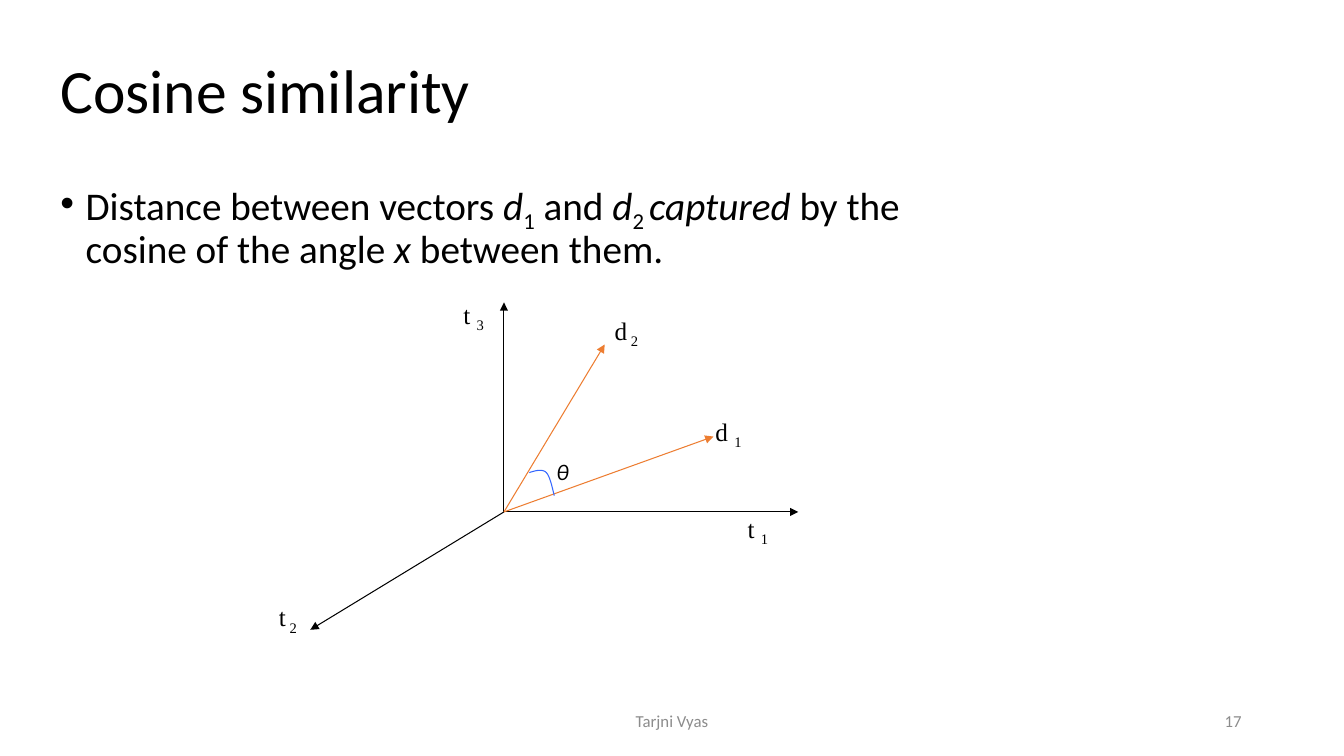
from lxml import etree
from pptx import Presentation
from pptx import util as u
from pptx.dml.color import RGBColor
from pptx.enum import shapes, text
from pptx.oxml.ns import qn

COLORS = {"ink": "000000", "vector": "ED7D31", "angle": "3366FF", "footer": "8C8C8C"}
SERIF, SANS = "Times New Roman", "Calibri"


def rgb(name):
    """Return a palette colour."""
    return RGBColor.from_string(COLORS[name])


def add_text(parent, box, runs, size, font=SANS, color="ink", frame=None, para=None):
    """Write one paragraph of (wording, style) runs; i is italic, s is subscript."""
    area = parent.add_textbox(*map(u.Cm, box)).text_frame
    for key, value in {"word_wrap": True, **(frame or {})}.items():
        setattr(area, key, value)
    line = area.paragraphs[0]
    for key, value in (para or {}).items():
        setattr(line, key, value)
    for wording, style in runs:
        run = line.add_run()
        run.text = wording
        formats = {"name": font, "size": u.Pt(size), "italic": "i" in style}
        for key, value in formats.items():
            setattr(run.font, key, value)
        run.font.color.rgb = rgb(color)
        if "s" in style:
            run.font._element.set("baseline", "-25000")
    return line


def add_arrow(parent, start, tip, color):
    """Draw a thin arrow from start to tip."""
    arrow = parent.add_connector(shapes.MSO_CONNECTOR.STRAIGHT, *map(u.Cm, (*start, *tip)))
    arrow.line.width = u.Pt(0.75)
    arrow.line.color.rgb = rgb(color)
    etree.SubElement(arrow.line._get_or_add_ln(), qn("a:tailEnd"), type="triangle")
    etree.SubElement(arrow._element.spPr, qn("a:effectLst"))


def bezier(points, steps=12):
    """Sample a cubic curve, leaving out its first point."""
    a, b, c, d = points
    for step in range(1, steps + 1):
        t = step / steps
        s = 1 - t
        yield tuple(s**3 * a[k] + 3 * s * s * t * b[k] + 3 * s * t * t * c[k] + t**3 * d[k]
                    for k in (0, 1))


def add_angle(parent, origin):
    """Draw the arc between the two document vectors and its theta."""
    x, y = origin
    bends = [(0.64, -0.99), (0.79, -1.04), (0.97, -1.09), (1.07, -0.99),
             (1.17, -0.89), (1.24, -0.51), (1.27, -0.41)]
    bends = [(u.Cm(x + dx), u.Cm(y + dy)) for dx, dy in bends]
    outline = parent.build_freeform(*bends[0])
    outline.add_line_segments([*bezier(bends[:4]), *bezier(bends[3:])], close=False)
    arc = outline.convert_to_shape()
    arc.shadow.inherit = False
    arc.fill.background()
    arc.line.width = u.Pt(0.75)
    arc.line.color.rgb = rgb("angle")
    add_text(parent, (x + 1.07, y - 1.47, 0.76, 0.94), [("θ", "i")], 16)


def add_vector_space(slide, box):
    """Draw the term axes and document vectors in a group inside box."""
    parent = slide.shapes.add_group_shape().shapes
    left, top, width, height = box
    x, y = origin = (left + 5.92, top + 5.48)
    # label runs, tip and label corner relative to the origin, label width, colour
    arrows = [
        ("t ", "1", (width - 5.92, 0), (5.89, -0.1), 1.07, "ink"),
        ("t ", "3", (0, -5.28), (-1.27, -5.48), 1.07, "ink"),
        ("t", " 2", (-4.88, height - 5.48), (-5.92, 2.14), 1.02, "ink"),
        ("d ", "1", (5.28, -1.9), (5.08, -2.54), 1.2, "vector"),
        ("d", " 2", (2.54, -4.22), (2.54, -5.08), 1.3, "vector"),
    ]
    for letter, index, (tip_x, tip_y), (dx, dy), label_width, color in arrows:
        add_arrow(parent, origin, (x + tip_x, y + tip_y), color)
        add_text(parent, (x + dx, y + dy, label_width, 1.02),
                 [(letter, ""), (index, "s")], 18, SERIF, frame={"word_wrap": False})
    add_angle(parent, origin)


def add_title(slide, box):
    """Write the slide title."""
    add_text(slide.shapes, box, [("Cosine similarity", "")], 44,
             frame={"vertical_anchor": text.MSO_ANCHOR.MIDDLE}, para={"line_spacing": 0.9})


def add_statement(slide, box):
    """Write the bulleted definition."""
    runs = [("Distance between vectors ", ""), ("d", "i"), ("1", "s"), (" and ", ""),
            ("d", "i"), ("2 ", "s"), ("captured", "i"),
            (" by the cosine of the angle ", ""), ("x", "i"), (" between them.", "")]
    statement = add_text(slide.shapes, box, runs, 28,
                         para={"line_spacing": 0.9, "space_before": u.Pt(10)})
    props = statement._p.get_or_add_pPr()
    indent = u.Cm(0.64)
    props.set("marL", str(indent))
    props.set("indent", str(-indent))
    etree.SubElement(props, qn("a:buFont"), typeface="Arial")
    etree.SubElement(props, qn("a:buChar"), char="•")


def add_footer(slide, box):
    """Write the author in the left part of box and the page number at its right."""
    left, top, width, height = box
    parts = [("Tarjni Vyas", left, 11.43, text.PP_ALIGN.CENTER),
             ("17", left + width - 7.62, 7.62, text.PP_ALIGN.RIGHT)]
    for wording, x, part_width, alignment in parts:
        add_text(slide.shapes, (x, top, part_width, height), [(wording, "")], 12,
                 color="footer", frame={"vertical_anchor": text.MSO_ANCHOR.MIDDLE},
                 para={"alignment": alignment})


deck = Presentation()
deck.slide_width, deck.slide_height = u.Cm(33.87), u.Cm(19.05)
page = deck.slides.add_slide(deck.slide_layouts[6])
add_title(page, (1.27, 0.76, 22.86, 3.18))
add_vector_space(page, (6.78, 7.42, 13.34, 8.45))
add_statement(page, (1.27, 4.45, 22.86, 12.57))
add_footer(page, (11.22, 17.65, 20.32, 1.02))
deck.save("out.pptx")
